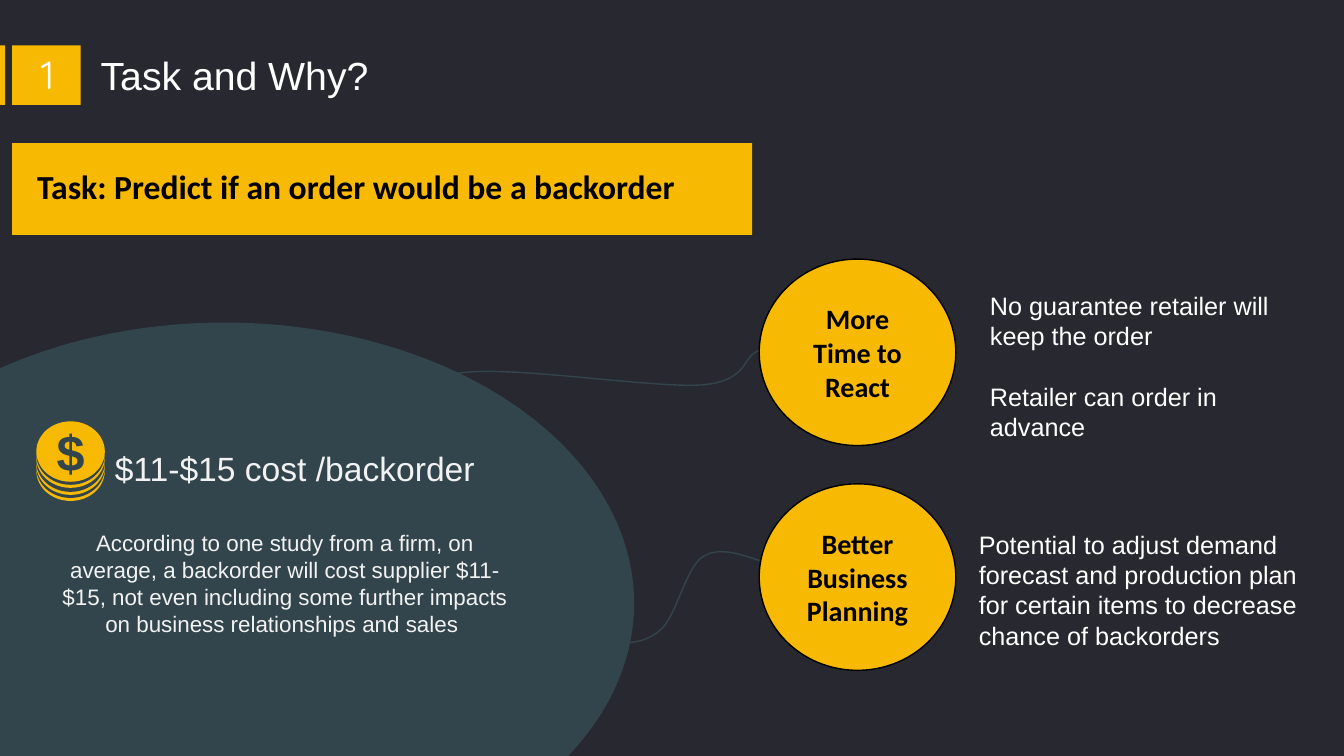
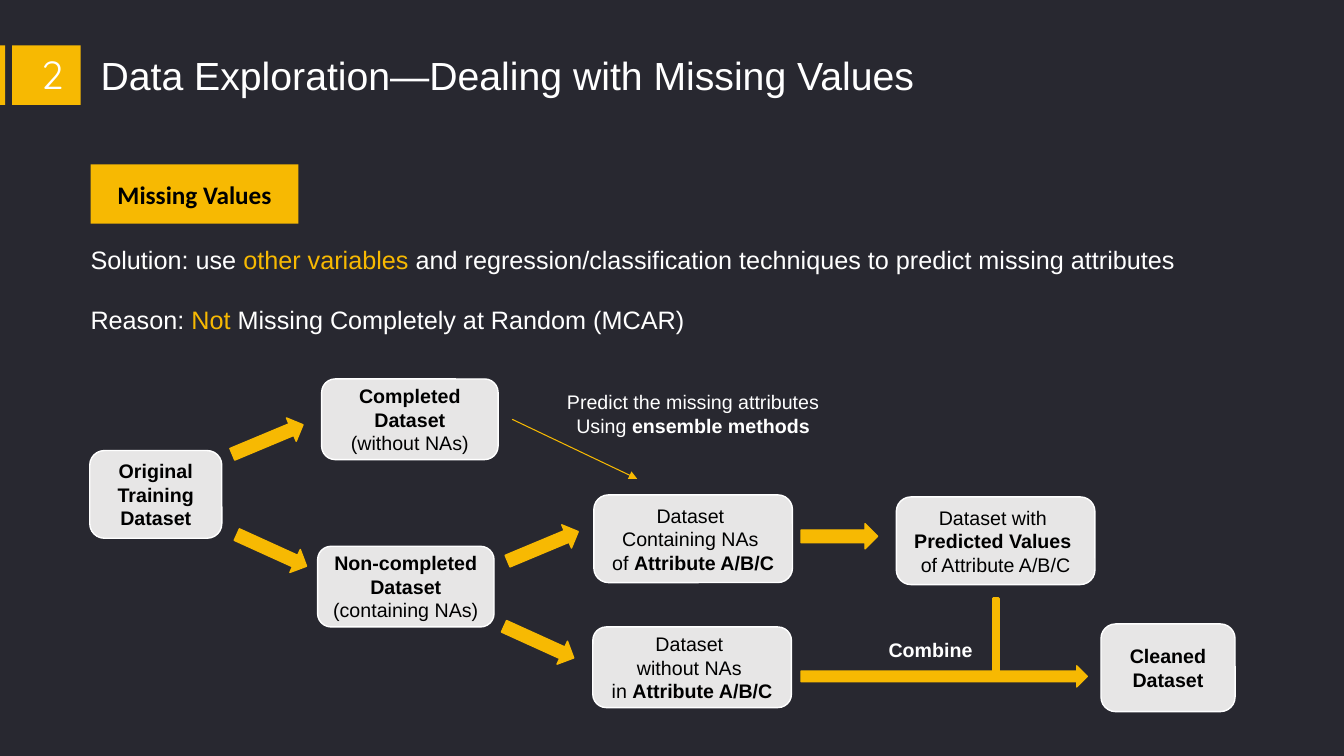
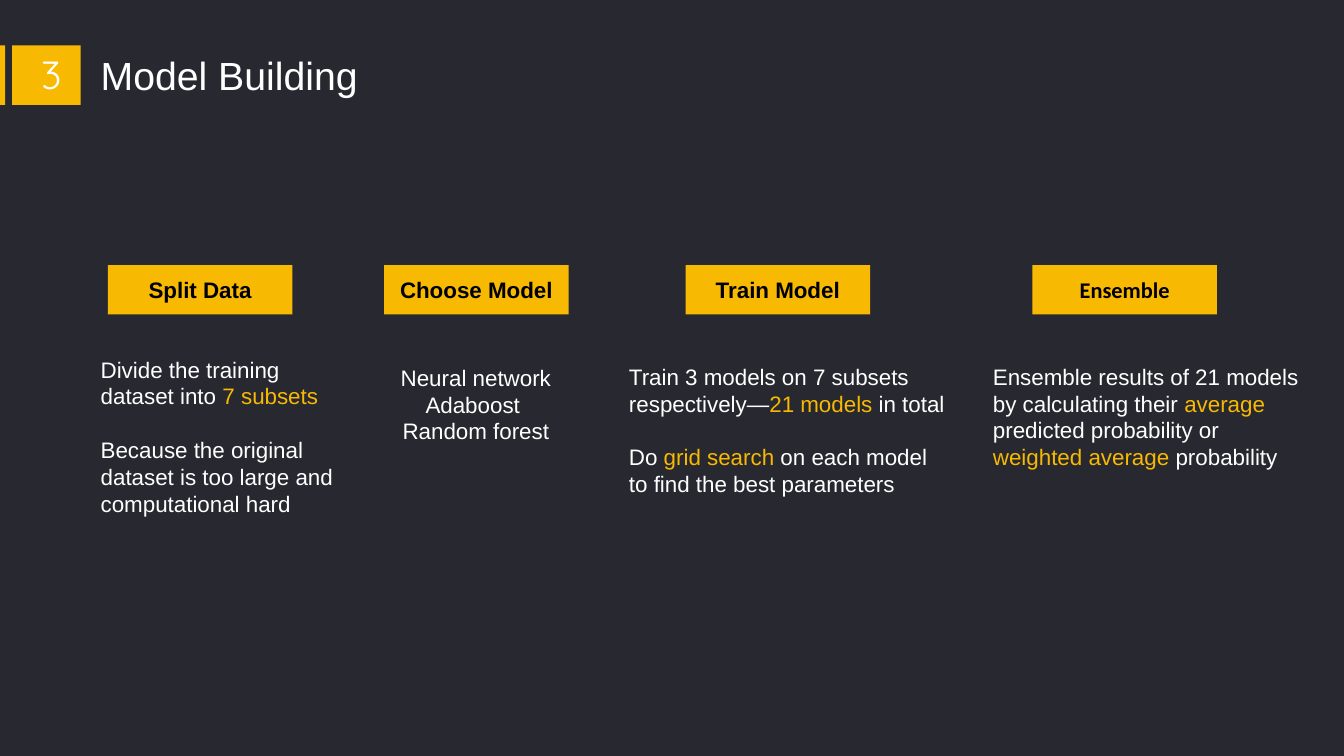
from lxml import etree
from pptx import Presentation
from pptx.dml.color import RGBColor
from pptx.enum import shapes, text
from pptx.oxml.ns import qn
from pptx.util import Pt

PX = 9144  # EMU per px, 100 px to the inch
DARK, YELLOW, TEAL = "282830", "F7B902", "32454C"
WHITE, PALE, GREY, BLACK = "FFFFFF", "F2F2F2", "E7E6E6", "000000"
KIND = shapes.MSO_SHAPE
LEFT, CENTER = text.PP_ALIGN.LEFT, text.PP_ALIGN.CENTER
LEADING = 1.2


def emu(px):
    return round(px * PX)


def rgb(value):
    return RGBColor.from_string(value)


def write(shape, paragraphs, size=18, font="Arial", color=WHITE, bold=False,
          align=LEFT, spaced=False, accent=None, middle=False):
    """Fill a shape with text; parts between bars are coloured or, without accent, bold."""
    frame = shape.text_frame
    frame.word_wrap = True
    frame.vertical_anchor = text.MSO_ANCHOR.MIDDLE if middle else text.MSO_ANCHOR.TOP
    frame.margin_left = frame.margin_right = emu(10)
    frame.margin_top = frame.margin_bottom = emu(5)
    for index, words in enumerate(paragraphs):
        line = frame.paragraphs[0] if index == 0 else frame.add_paragraph()
        line.alignment = align
        line.line_spacing = Pt(size * LEADING)
        if spaced and index:
            line.space_before = Pt(size * LEADING)
        for part, piece in enumerate(words.split("|")):
            if not piece:
                continue
            marked = part % 2 == 1
            run = line.add_run()
            run.text = piece
            run.font.size, run.font.name = Pt(size), font
            run.font.bold = bold or (marked and accent is None)
            run.font.color.rgb = rgb(accent if marked and accent else color)


def label(slide, box, *paragraphs, **style):
    write(slide.shapes.add_textbox(*map(emu, box)), paragraphs, **style)


def block(slide, kind, box, fill=YELLOW, line=None, weight=1, turn=0):
    shape = slide.shapes.add_shape(kind, *map(emu, box))
    shape.shadow.inherit = False
    shape.fill.solid()
    shape.fill.fore_color.rgb = rgb(fill)
    if line:
        shape.line.color.rgb = rgb(line)
        shape.line.width = Pt(weight)
    else:
        shape.line.fill.background()
    shape.rotation = turn
    return shape


def curve(slide, start, *segments, steps=16):
    """Draw an open line through cubic segments, each two handles and an end."""
    points, here = [], start
    for first, second, end in segments:
        for step in range(1, steps + 1):
            t = step / steps
            weights = (1 - t) ** 3, 3 * t * (1 - t) ** 2, 3 * t * t * (1 - t), t ** 3
            knots = here, first, second, end
            points.append(tuple(emu(sum(w * k[axis] for w, k in zip(weights, knots)))
                                for axis in (0, 1)))
        here = end
    builder = slide.shapes.build_freeform(emu(start[0]), emu(start[1]))
    builder.add_line_segments(points, close=False)
    wire = builder.convert_to_shape()
    wire.shadow.inherit = False
    wire.fill.background()
    wire.line.color.rgb = rgb(TEAL)
    wire.line.width = Pt(1)


def thin_arrow(slide, start, end):
    arrow = slide.shapes.add_connector(shapes.MSO_CONNECTOR.STRAIGHT, *map(emu, start + end))
    arrow.line.color.rgb = rgb(YELLOW)
    arrow.line.width = Pt(0.75)
    etree.SubElement(arrow.line._get_or_add_ln(), qn("a:tailEnd"), type="triangle")
    etree.SubElement(arrow._element.spPr, qn("a:effectLst"))


def numbered_slide(deck, number, title):
    slide = deck.slides.add_slide(deck.slide_layouts[6])
    slide.background.fill.solid()
    slide.background.fill.fore_color.rgb = rgb(DARK)
    label(slide, (90, 46, 952, 57), title, size=28)
    for left, width in ((0, 5), (12, 68)):
        block(slide, KIND.RECTANGLE, (left, 45, width, 59))
    label(slide, (31, 45, 30, 59), str(number), size=28, font="Quicksand", align=CENTER)
    return slide


# Slide 1 regions
def coin_stack(slide, left, top):
    for drop in (19, 16, 13, 10, 6, 3, 0):
        fill = TEAL if drop in (16, 10, 3) else YELLOW
        coin = block(slide, KIND.OVAL, (left, top + drop, 68, 60), fill)
    write(coin, ["$"], size=36, color=TEAL, bold=True, align=CENTER, middle=True)


def cost_bubble(slide, left, top):
    block(slide, KIND.OVAL, (left, top, 813, 557), TEAL)
    label(slide, (left + 226, top + 200, 481, 131),
          "According to one study from a firm, on average, a backorder will cost supplier "
          "$11-$15, not even including some further impacts on business relationships "
          "and sales ", size=16, color=PALE, align=CENTER)
    label(slide, (left + 288, top + 119, 420, 57), "$11-$15 cost /backorder",
          size=24, color=PALE)
    coin_stack(slide, left + 220, top + 98)


def benefit(slide, top, name, note_box, *note):
    circle = block(slide, KIND.OVAL, (753, top, 195, 185), line=BLACK)
    write(circle, name, size=20, font="Calibri", color=BLACK, bold=True,
          align=CENTER, middle=True)
    label(slide, note_box, *note, spaced=True)


def task_slide(deck):
    slide = numbered_slide(deck, 1, "Task and Why?")
    curve(slide, (607, 638), ((624, 638), (641, 638), (656, 624)),
          ((671, 610), (680, 565), (696, 553)), ((712, 542), (732, 549), (753, 556)))
    curve(slide, (372, 405), ((393, 389), (413, 373), (467, 369)),
          ((521, 365), (649, 385), (696, 382)), ((744, 378), (736, 352), (753, 348)))
    cost_bubble(slide, -184, 320)
    benefit(slide, 257, ["More Time to React"], (972, 283, 325, 185),
            "No guarantee retailer will keep the order", "Retailer can order in advance")
    benefit(slide, 480, ["Better Business", "Planning"], (961, 520, 336, 170),
            "Potential to adjust demand forecast and production plan for certain items "
            "to decrease chance of backorders")
    block(slide, KIND.RECTANGLE, (12, 142, 734, 91))
    label(slide, (27, 160, 705, 73), "Task: Predict if an order would be a backorder",
          size=24, font="Calibri", color=BLACK, bold=True)


# Slide 2 regions
NODES = [  # left, top, width, height, lines
    (0, 71, 131, 87, ["|Original Training Dataset|"]),
    (230, 0, 175, 80, ["|Completed Dataset|", "(without NAs)"]),
    (226, 166, 175, 80, ["|Non-completed Dataset|", "(containing NAs)"]),
    (500, 115, 197, 87, ["Dataset ", "Containing NAs ", "of |Attribute A/B/C|"]),
    (499, 246, 197, 80, ["Dataset ", "without NAs ", "in |Attribute A/B/C|"]),
    (800, 117, 197, 87, ["Dataset with ", "|Predicted Values |", "of Attribute A/B/C"]),
    (1003, 243, 133, 87, ["|Cleaned|", "|Dataset|"]),
]
UP, DOWN, ACROSS = 247.3, 294.4, 270
ARROWS = [  # left, top, width, length, turn
    (164, 22, 25, 76, UP),
    (168, 132, 25, 76, DOWN),
    (437, 128, 25, 76, UP),
    (433, 223, 25, 76, DOWN),
    (731, 118, 25, 76, ACROSS),
    (837, 153, 21, 284, ACROSS),
]


def imputation_flow(slide, left, top):
    for x, y, width, height, lines in NODES:
        node = block(slide, KIND.ROUNDED_RECTANGLE, (left + x, top + y, width, height),
                     GREY, WHITE)
        write(node, lines, size=14, color=BLACK, align=CENTER, middle=True)
    for x, y, width, length, turn in ARROWS:
        block(slide, KIND.DOWN_ARROW, (left + x, top + y, width, length),
              line=YELLOW, turn=turn)
    block(slide, KIND.RECTANGLE, (left + 896, top + 218, 5, 76), line=YELLOW, weight=2)
    thin_arrow(slide, (left + 419, top + 40), (left + 543, top + 99))
    label(slide, (left + 431, top + 6, 335, 59), "Predict the missing attributes",
          "Using |ensemble methods|", size=14, align=CENTER)
    label(slide, (left + 774, top + 252, 120, 41), "Combine", size=14, bold=True,
          align=CENTER)


def missing_values_slide(deck):
    slide = numbered_slide(deck, 2, "Data Exploration—Dealing with Missing Values")
    topic = block(slide, KIND.RECTANGLE, (90, 163, 206, 59))
    write(topic, ["Missing Values"], font="Calibri", color=BLACK, bold=True,
          align=CENTER, middle=True)
    label(slide, (80, 237, 1194, 114),
          "Solution: use |other variables |and regression/classification techniques "
          "to predict missing attributes",
          "Reason: |Not| Missing Completely at Random (MCAR)", accent=YELLOW, spaced=True)
    imputation_flow(slide, 89, 376)


# Slide 3 regions
def step(slide, left, name, note_box, *note, font="Arial", **style):
    heading = block(slide, KIND.RECTANGLE, (left, 263, 183, 49))
    write(heading, [name], size=16, font=font, color=BLACK, bold=True,
          align=CENTER, middle=True)
    label(slide, note_box, *note, size=16, accent=YELLOW, **style)


def model_slide(deck):
    slide = numbered_slide(deck, 3, "Model Building")
    step(slide, 107, "Split Data", (90, 348, 251, 171),
         "Divide the training dataset into |7 subsets|",
         "Because the original dataset is too large and computational hard", spaced=True)
    step(slide, 381, "Choose Model", (355, 356, 234, 171),
         "Neural network", "Adaboost ", "Random forest", align=CENTER)
    step(slide, 680, "Train Model", (614, 355, 336, 171),
         "Train 3 models on 7 subsets respectively—|21 models| in total",
         "Do |grid search| on each model to find the best parameters", spaced=True)
    step(slide, 1024, "Ensemble", (975, 355, 336, 210),
         "Ensemble results of 21 models",
         "by calculating their |average| predicted probability or "
         "|weighted average| probability", font="Calibri")


def main():
    deck = Presentation()
    deck.slide_width, deck.slide_height = emu(1333), emu(750)
    task_slide(deck)
    missing_values_slide(deck)
    model_slide(deck)
    deck.save("out.pptx")


if __name__ == "__main__":
    main()
